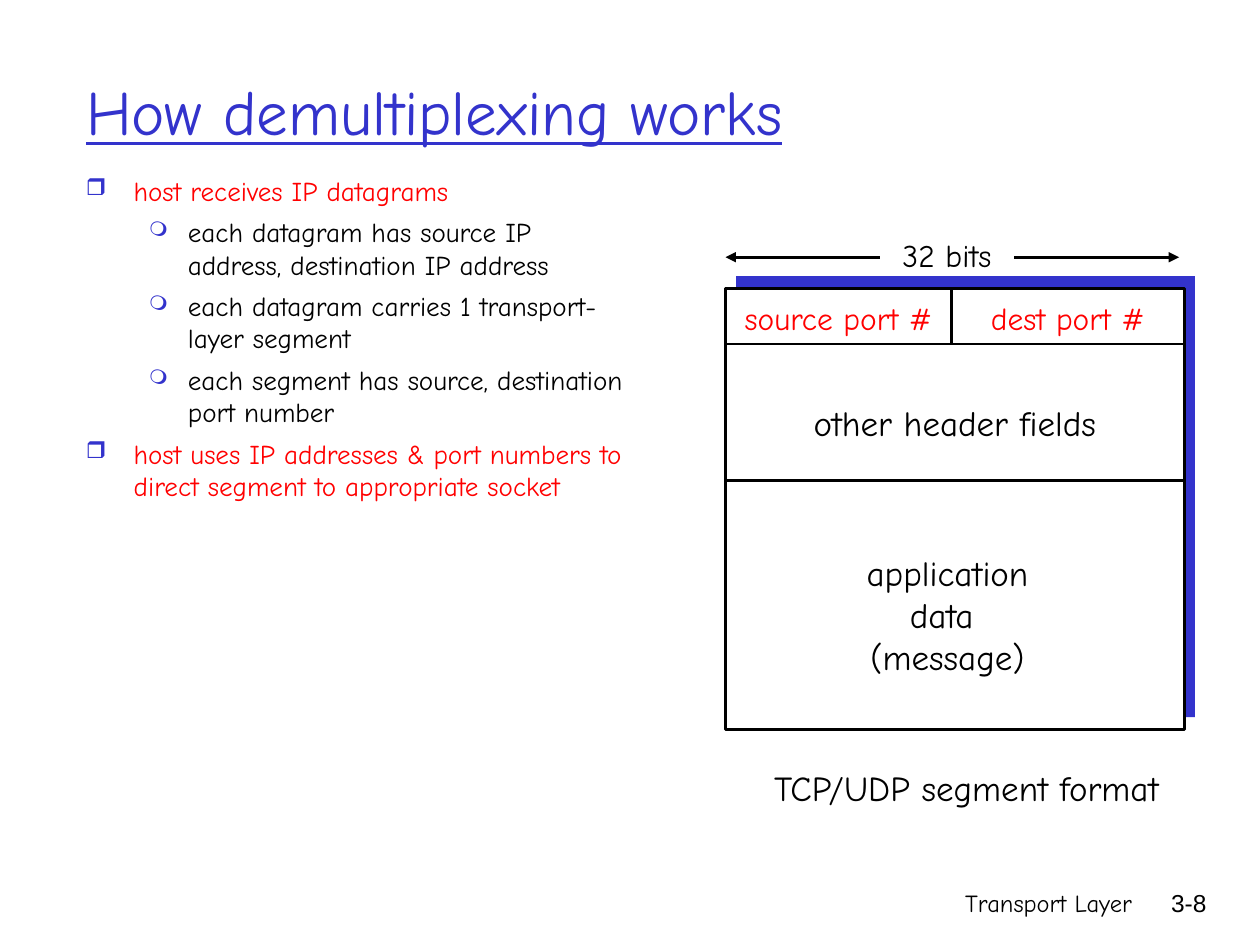
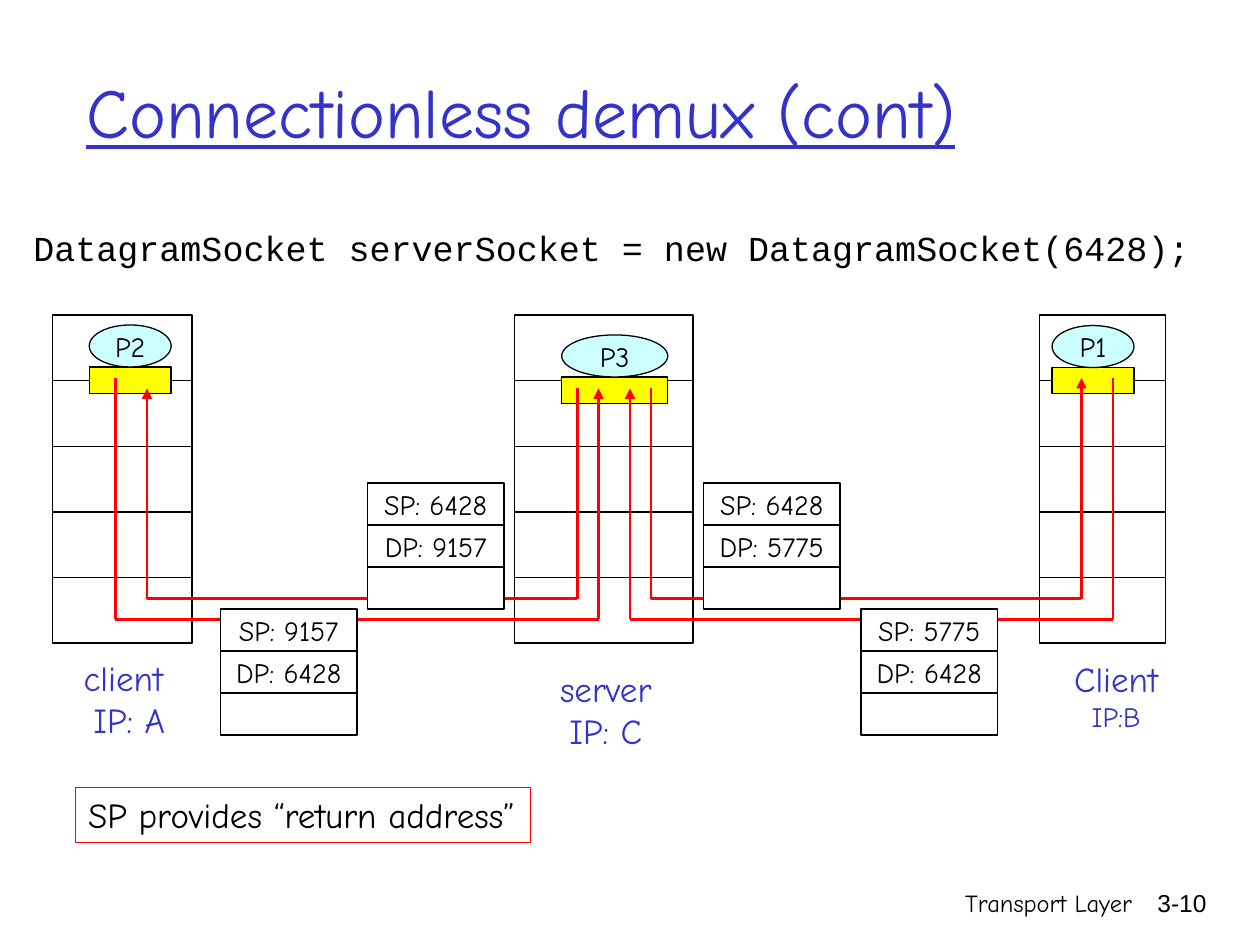
from dataclasses import dataclass
from itertools import pairwise

from lxml import etree
from pptx import Presentation
from pptx.dml.color import RGBColor
from pptx.enum.shapes import MSO_CONNECTOR, MSO_SHAPE
from pptx.enum.text import MSO_ANCHOR, MSO_AUTO_SIZE, PP_ALIGN
from pptx.oxml.ns import qn
from pptx.util import Inches, Pt

RECT, OVAL = MSO_SHAPE.RECTANGLE, MSO_SHAPE.OVAL
STRAIGHT = MSO_CONNECTOR.STRAIGHT
LEFT, CENTER, RIGHT = PP_ALIGN.LEFT, PP_ALIGN.CENTER, PP_ALIGN.RIGHT
TOP, MIDDLE = MSO_ANCHOR.TOP, MSO_ANCHOR.MIDDLE
NO_FIT = MSO_AUTO_SIZE.NONE

# The slide is a grid of 120 columns by 90 rows of square cells
COLUMNS, ROWS = 120, 90
SLIDE_WIDTH, SLIDE_HEIGHT = Inches(10), Inches(7.5)
CELL = SLIDE_WIDTH // COLUMNS


@dataclass(frozen=True)
class Theme:
    blue: str = "3333CC"
    red: str = "FF0000"
    black: str = "000000"
    white: str = "FFFFFF"
    yellow: str = "FFFF00"
    cyan: str = "CCFFFF"
    hand: str = "Comic Neue"
    sans: str = "Arial"
    mono: str = "Courier New"
    label: float = 20
    field: float = 18
    small: float = 16
    bullet: float = 15.5
    footer: float = 14
    thin: float = 0.75
    thick: float = 1.5


THEME = Theme()


@dataclass(frozen=True)
class Box:
    """An area of the slide, in grid cells."""
    left: float
    top: float
    width: float
    height: float

    def inner(self, left, top, width, height):
        return Box(self.left + left, self.top + top, width, height)

    def emu(self):
        return [cells(n) for n in (self.left, self.top, self.width, self.height)]


def cells(count):
    return round(count * CELL)


def rgb(color):
    return RGBColor.from_string(color)


# Basic parts

def add_bullet(paragraph, char, percent, left, hanging):
    props = paragraph._p.get_or_add_pPr()
    props.set("marL", str(Inches(left)))
    props.set("indent", str(-Inches(hanging)))
    color = etree.SubElement(props, qn("a:buClr"))
    etree.SubElement(color, qn("a:srgbClr"), val=THEME.blue)
    etree.SubElement(props, qn("a:buSzPct"), val=str(percent * 1000))
    etree.SubElement(props, qn("a:buChar"), char=char)


def write(frame, *lines, size=THEME.label, color=THEME.black, font=THEME.hand,
          align=CENTER, anchor=TOP, wrap=False, underline=False, last_size=None):
    frame.word_wrap = wrap
    frame.auto_size = NO_FIT
    frame.vertical_anchor = anchor
    for number, line in enumerate(lines):
        paragraph = frame.add_paragraph() if number else frame.paragraphs[0]
        run = paragraph.add_run()
        run.text = line
        paragraph.alignment = align
        is_last = number == len(lines) - 1
        run.font.size = Pt(last_size if last_size and is_last else size)
        run.font.name = font
        run.font.underline = underline
        run.font.color.rgb = rgb(color)


def add_text(slide, box, *lines, **style):
    textbox = slide.shapes.add_textbox(*box.emu())
    write(textbox.text_frame, *lines, **style)
    return textbox


def add_block(slide, box, fill, outline=THEME.black, weight=THEME.thin, kind=RECT):
    block = slide.shapes.add_shape(kind, *box.emu())
    block.shadow.inherit = False
    block.fill.solid()
    block.fill.fore_color.rgb = rgb(fill)
    if outline:
        block.line.color.rgb = rgb(outline)
        block.line.width = Pt(weight)
    else:
        block.line.fill.background()
    return block


def add_line(slide, start, end, color=THEME.black, arrow=False):
    line = slide.shapes.add_connector(STRAIGHT, *map(cells, (*start, *end)))
    line.line.color.rgb = rgb(color)
    line.line.width = Pt(THEME.thick)
    if arrow:
        etree.SubElement(line.line._get_or_add_ln(), qn("a:tailEnd"), type="triangle")
    etree.SubElement(line._element.spPr, qn("a:effectLst"))


# Shared title and footer

def add_titled_slide(deck, title, title_size, number):
    slide = deck.slides.add_slide(deck.slide_layouts[5])
    heading = slide.shapes.title
    heading.left, heading.top, heading.width, heading.height = Box(7, 3, 102, 15).emu()
    write(heading.text_frame, title, size=title_size, color=THEME.blue,
          align=LEFT, anchor=MIDDLE, wrap=True, underline=True)
    footer = dict(size=THEME.footer, align=RIGHT, wrap=True)
    add_text(slide, Box(71, 84, 38, 6), "Transport Layer", **footer)
    add_text(slide, Box(107.2, 84, 8.9, 6), number, font=THEME.sans, **footer)
    return slide


# Slide: how demultiplexing works

def add_outline(slide, box, points):
    """Points are (level, text) pairs; the top level is red."""
    outline = add_text(slide, box, *(text for _, text in points),
                       size=THEME.bullet, align=LEFT, wrap=True)
    paragraphs = outline.text_frame.paragraphs
    for paragraph, (level, _) in zip(paragraphs, points):
        if level:
            add_bullet(paragraph, "❍", 75, 0.81, 0.31)
        else:
            add_bullet(paragraph, "❒", 85, 0.38, 0.38)
            paragraph.runs[0].font.color.rgb = rgb(THEME.red)
    for paragraph in paragraphs[1:]:
        paragraph.space_before = Pt(5)


def add_segment_format(slide, box):
    ports_bottom, header_bottom, port_split = 5.25, 18.25, 21.5
    right = box.left + box.width

    # Offset backing and frame
    add_block(slide, box.inner(1, -1.2, box.width, box.height), THEME.blue, outline=None)
    add_block(slide, box, THEME.white, weight=THEME.thick)

    # Dividers
    for row in (ports_bottom, header_bottom):
        add_line(slide, (box.left, box.top + row), (right, box.top + row))
    split = box.left + port_split
    add_line(slide, (split, box.top), (split, box.top + ports_bottom))

    # Width scale
    scale = box.top - 3
    add_text(slide, box.inner(15.7, -5.65, 10.8, 4.8), "32 bits", size=THEME.field)
    add_line(slide, (box.left + 14.7, scale), (box.left, scale), arrow=True)
    add_line(slide, (box.left + 27.5, scale), (right - 0.5, scale), arrow=True)

    # Fields and caption
    port = dict(size=THEME.field, color=THEME.red)
    add_text(slide, box.inner(0, 0.35, port_split, 4.8), "source port #", **port)
    add_text(slide, box.inner(port_split, 0.35, box.width - port_split, 4.8),
             "dest port #", **port)
    add_text(slide, box.inner(0, 10.1, box.width, 5.25), "other header fields")
    add_text(slide, box.inner(0, 24.4, box.width - 1.4, 13.2),
             "application", "data ", "(message)")
    add_text(slide, box.inner(1.1, 44.9, box.width, 5.25), "TCP/UDP segment format")


def build_demultiplexing(deck):
    slide = add_titled_slide(deck, "How demultiplexing works", 36, "3-8")
    add_outline(slide, Box(7, 16, 54, 36.6), [
        (0, "host receives IP datagrams"),
        (1, "each datagram has source IP address, destination IP address"),
        (1, "each datagram carries 1 transport-layer segment"),
        (1, "each segment has source, destination port number"),
        (0, "host uses IP addresses & port numbers to direct segment to appropriate socket"),
    ])
    add_segment_format(slide, Box(69.1, 27.5, 43.7, 42))


# Slide: connectionless demux

def add_host(slide, box, process, socket, label, label_at, last_size=None):
    """Socket is (left, top, width) of its process; label_at is (centre, top)."""
    layer = box.height / 5
    for number in range(5):
        add_block(slide, box.inner(0, number * layer, box.width, layer), THEME.white)
    left, top, width = socket
    add_block(slide, box.inner(left, top + 4, width, 2.5), THEME.yellow)
    bubble = add_block(slide, box.inner(left, top, width, 4), THEME.cyan, kind=OVAL)
    write(bubble.text_frame, process, size=THEME.small, anchor=MIDDLE)
    centre, label_top = label_at
    add_text(slide, box.inner(centre - 6, label_top, 12, 9), *label,
             color=THEME.blue, last_size=last_size)


def add_route(slide, *corners):
    legs = list(pairwise(corners))
    for start, end in legs:
        add_line(slide, start, end, color=THEME.red, arrow=end == corners[-1])


def add_datagram(slide, box, source, dest):
    row = box.height / 3
    for number, text in enumerate((f"SP: {source}", f"DP: {dest}", None)):
        field = add_block(slide, box.inner(0, number * row, box.width, row), THEME.white)
        if text:
            write(field.text_frame, text, size=THEME.small, anchor=MIDDLE)


def add_exchange(slide, box):
    # Hosts
    add_host(slide, box.inner(0, 0, 13.3, box.height), "P2", (3.5, 0.95, 7.8),
             ("client", " IP: A"), (6.75, 31.9))
    add_host(slide, box.inner(94, 0, 12, box.height), "P1", (1.2, 1, 7.8),
             ("Client", "IP:B"), (7.3, 32), last_size=THEME.small)
    add_host(slide, box.inner(44, 0, 17, box.height), "P3", (4.5, 1.9, 10.1),
             ("server", "IP: C"), (8.7, 33))

    # Routes: client column, its arrowhead column and row, server columns
    requests, replies = box.top + 29, box.top + 27
    for out, back, back_row, arrive, leave in ((6, 9, 7, 52, 50), (101, 98, 6, 55, 57)):
        out, back, arrive, leave = (box.left + x for x in (out, back, arrive, leave))
        server_row = box.top + 7
        add_route(slide, (out, box.top + 6), (out, requests),
                  (arrive, requests), (arrive, server_row))
        add_route(slide, (leave, server_row), (leave, replies),
                  (back, replies), (back, box.top + back_row))

    # Datagrams on the routes
    for left, top, source, dest in ((30, 16, 6428, 9157), (16, 28, 9157, 6428),
                                    (62, 16, 6428, 5775), (77, 28, 5775, 6428)):
        add_datagram(slide, box.inner(left, top, 13, 12), source, dest)


def build_connectionless(deck):
    slide = add_titled_slide(deck, "Connectionless demux (cont)", 40, "3-10")
    add_text(slide, Box(2, 21, 114, 8),
             "DatagramSocket serverSocket = new DatagramSocket(6428);",
             font=THEME.mono, align=LEFT, wrap=True)
    add_exchange(slide, Box(5, 30, 106, 31.25))
    note = add_text(slide, Box(7.2, 75, 43.3, 5.25),
                    "SP provides “return address”", align=LEFT)
    note.line.color.rgb = rgb(THEME.red)
    note.line.width = Pt(THEME.thin)


def main():
    deck = Presentation()
    deck.slide_width, deck.slide_height = SLIDE_WIDTH, SLIDE_HEIGHT
    build_demultiplexing(deck)
    build_connectionless(deck)
    deck.save("out.pptx")


if __name__ == "__main__":
    main()
